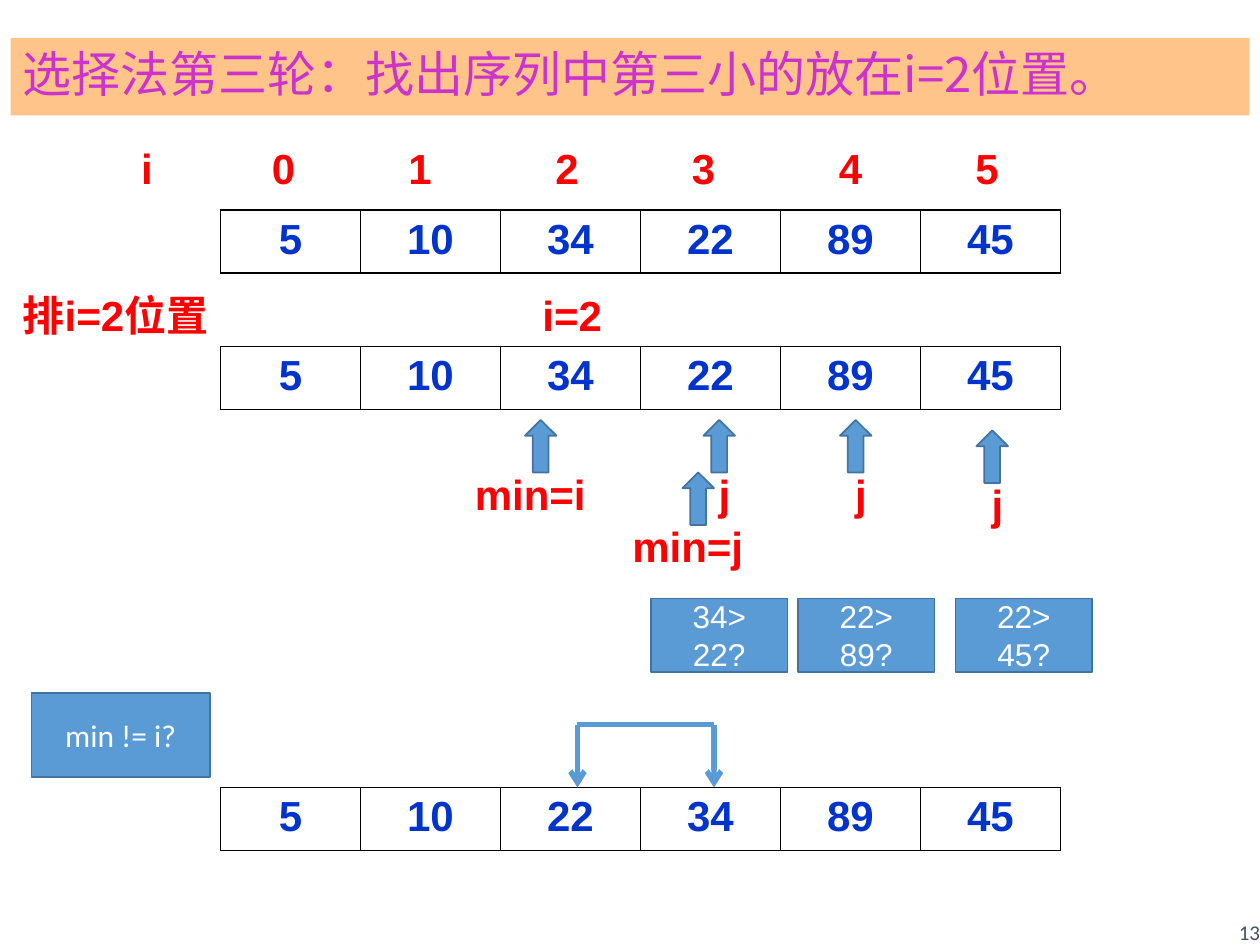
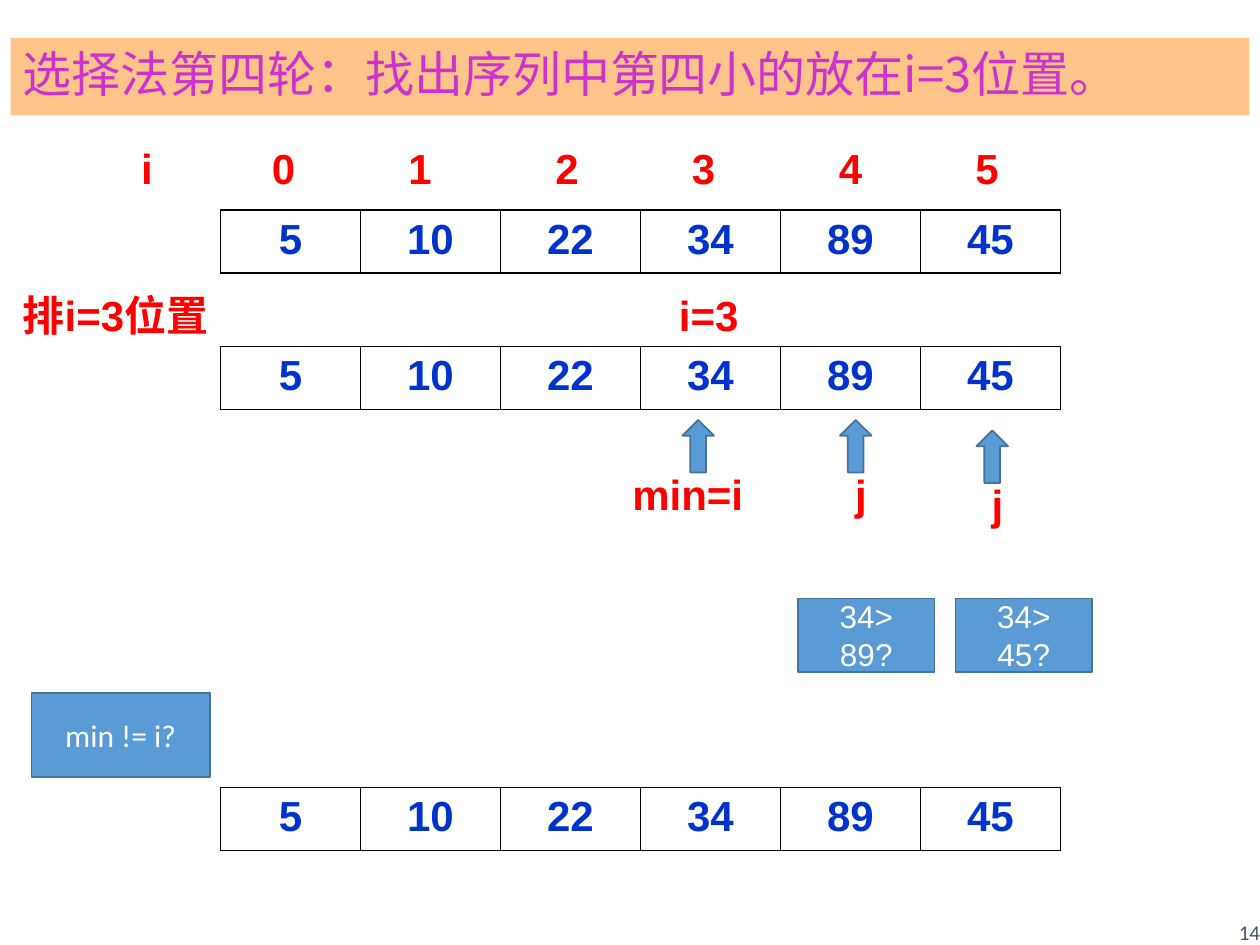
from lxml.etree import SubElement
from pptx import Presentation
from pptx.dml.color import RGBColor
from pptx.enum.shapes import MSO_CONNECTOR, MSO_SHAPE
from pptx.enum.text import MSO_ANCHOR, PP_ALIGN
from pptx.oxml.ns import qn
from pptx.util import Inches, Pt

COLS, ROWS = 120, 90
MARKS = (23, 36, 50, 63, 77, 90)
SCANS = {3: (67, 40, 62), 4: (80, 40, 76), 5: (93, 41, 91)}
LEFT, WIDE = 21, 80


def tint(code):
    return RGBColor.from_string(code)


def write(frame, text, size=24, font="Arial", color="FF0000", bold=False,
          align=PP_ALIGN.CENTER, anchor=MSO_ANCHOR.TOP, space=None, fade=None):
    frame.word_wrap = True
    frame.vertical_anchor = anchor
    para = frame.paragraphs[0]
    para.alignment = align
    para.line_spacing = space
    run = para.add_run()
    run.text = text
    run.font.size, run.font.name, run.font.bold = Pt(size), font, bold
    if fade:
        fill = run.font.fill
        fill.gradient()
        fill.gradient_angle = 225
        for stop, code, place in zip(fill.gradient_stops, (color, fade), (0, 0.62)):
            stop.color.rgb, stop.position = tint(code), place
    else:
        run.font.color.rgb = tint(color)
    east = SubElement(run.font._element, qn("a:ea"))
    east.set("typeface", "Noto Sans CJK SC")
    run.font._element.find(qn("a:latin")).addnext(east)


class Deck:
    """Holds the style and the current slide, on a grid of 120 columns by 90 rows."""

    blue, edge, peach, ink = "5B9BD5", "43739E", "FFC489", "0033CC"

    def __init__(self):
        self.file = Presentation()
        self.file.slide_width, self.file.slide_height = Inches(10), Inches(7.5)
        self.slide = None

    def grid(self, x, y, *size):
        wide, high = self.file.slide_width / COLS, self.file.slide_height / ROWS
        steps = (wide, high, wide, high)
        return [round(n * step) for n, step in zip((x, y, *size), steps)]

    def page(self, title, number):
        self.slide = self.file.slides.add_slide(self.file.slide_layouts[6])
        self.label(number, 114.8, 83.8, 5.2, 6.2, size=12, font="Calibri",
                   color="415065", bold=False, align=PP_ALIGN.RIGHT,
                   anchor=MSO_ANCHOR.BOTTOM, pad=0)
        band = self.shape(MSO_SHAPE.RECTANGLE, 1, 3.6, 118, 7.4, self.peach, None)
        write(band.text_frame, title, size=28, font="Noto Sans CJK SC",
              color="CC33CC", fade="101C9E", align=PP_ALIGN.LEFT,
              anchor=MSO_ANCHOR.MIDDLE, space=0.9)

    def shape(self, kind, x, y, wide, high, fill=blue, edge=edge):
        item = self.slide.shapes.add_shape(kind, *self.grid(x, y, wide, high))
        item.shadow.inherit = False
        item.fill.solid()
        item.fill.fore_color.rgb = tint(fill)
        if edge:
            item.line.color.rgb, item.line.width = tint(edge), Pt(1)
        else:
            item.line.fill.background()
        return item

    def label(self, text, x, y, wide, high=6.1, pad=0.05, bold=True, **look):
        frame = self.slide.shapes.add_textbox(*self.grid(x, y, wide, high)).text_frame
        frame.margin_left = frame.margin_right = 0
        frame.margin_top = frame.margin_bottom = Inches(pad)
        write(frame, text, bold=bold, **look)

    def box(self, text, x, y, wide, high, font="Arial"):
        item = self.shape(MSO_SHAPE.RECTANGLE, x, y, wide, high)
        write(item.text_frame, text, size=18, font=font, color="FFFFFF",
              anchor=MSO_ANCHOR.MIDDLE)

    def pointer(self, text, x, y, shift, wide):
        self.label(text, x - shift, y + 4, wide)
        self.shape(MSO_SHAPE.UP_ARROW, x, y, 3, 5)

    def table(self, values, y, high=6):
        table = self.slide.shapes.add_table(
            1, len(values), *self.grid(LEFT, y, WIDE, high)).table
        table.first_row = table.horz_banding = False
        for cell, value in zip(table.rows[0].cells, values):
            self.border(cell)
            cell.fill.solid()
            cell.fill.fore_color.rgb = tint("FFFFFF")
            write(cell.text_frame, str(value), color=self.ink, bold=True)

    def border(self, cell):
        props = cell._tc.get_or_add_tcPr()
        for side in ("lnL", "lnR", "lnT", "lnB"):
            line = SubElement(props, qn(f"a:{side}"), w=str(Pt(1)))
            fill = SubElement(line, qn("a:solidFill"))
            SubElement(fill, qn("a:srgbClr"), val="000000")

    def line(self, start, end, arrow=True):
        item = self.slide.shapes.add_connector(
            MSO_CONNECTOR.STRAIGHT, *self.grid(*start), *self.grid(*end))
        item.line.color.rgb, item.line.width = tint(self.blue), Pt(3)
        if arrow:
            SubElement(item.line._get_or_add_ln(), qn("a:tailEnd"), type="arrow")
        SubElement(item._element.spPr, qn("a:effectLst"))

    def swap(self, left, right, top, foot):
        self.line((left, top), (right, top), arrow=False)
        for x in (left, right):
            self.line((x, top), (x, foot))

    def sort(self, title, number, spot, before, after, checks, mins):
        self.page(title, number)
        self.table(before, 20, 5.64)
        self.label("i", 10, 13, 8)
        for index, x in enumerate(MARKS):
            self.label(str(index), x, 13, 8)
        self.table(before, 33)
        self.label(f"排i={spot}位置", 0, 27, 22)
        self.label(f"i={spot}", MARKS[spot] - 2, 27, 13)
        for index, check in checks.items():
            x, y, left = SCANS[index]
            self.pointer("j", x, y, 3, 10)
            self.box(check, left, 57, 13, 7)
        self.table(after, 75)
        self.box("min != i?", 3, 66, 17, 8, font="Calibri")
        for text, x, y in mins:
            self.pointer(text, x, y, 7, 15)


def main():
    deck = Deck()
    third, fourth = [5, 10, 34, 22, 89, 45], [5, 10, 22, 34, 89, 45]
    deck.sort("选择法第三轮：找出序列中第三小的放在i=2位置。", "13", 2, third, fourth,
              {3: "34> 22?", 4: "22> 89?", 5: "22> 45?"},
              [("min=i", 50, 40), ("min=j", 65, 45)])
    deck.swap(55, 68, 69, 75)
    deck.sort("选择法第四轮：找出序列中第四小的放在i=3位置。", "14", 3, fourth, fourth,
              {4: "34> 89?", 5: "34> 45?"}, [("min=i", 65, 40)])
    deck.file.save("out.pptx")


if __name__ == "__main__":
    main()
